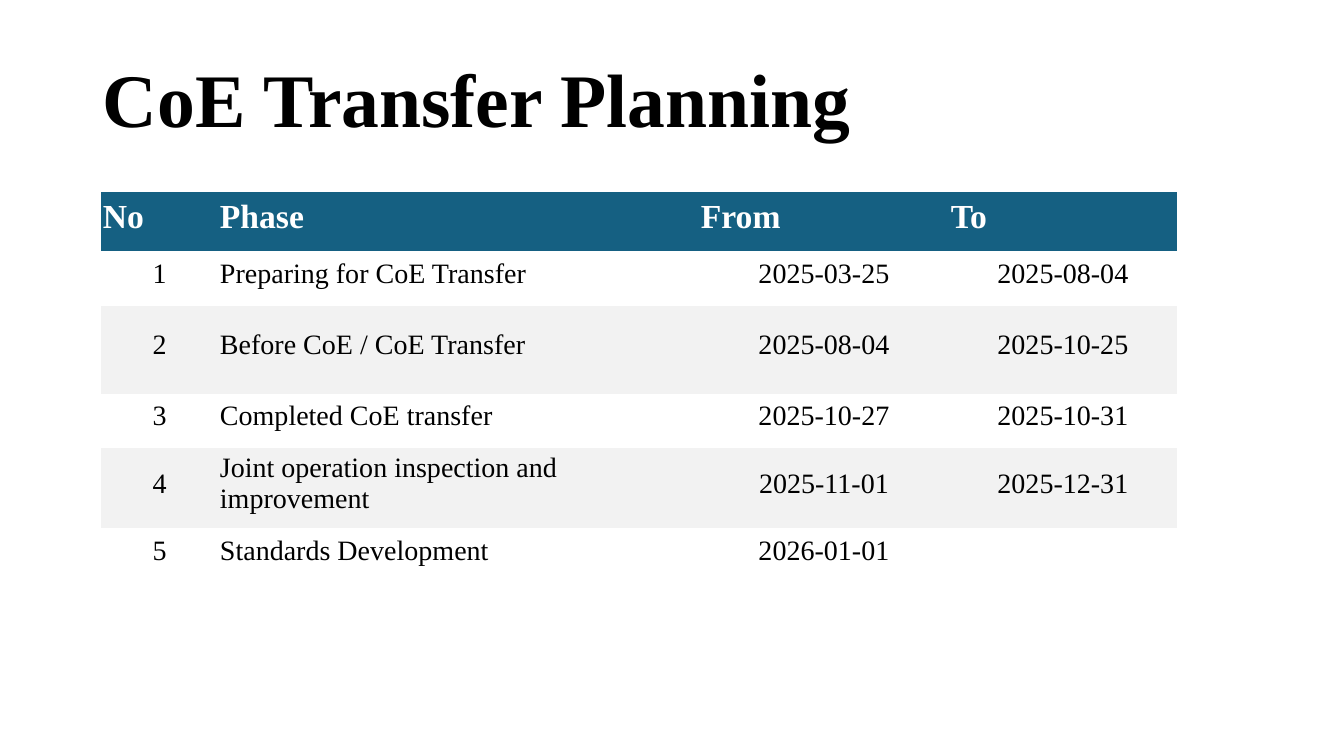
"""Build the CoE Transfer Planning slide."""
import pptx
import pptx.dml.color
import pptx.enum.text
import pptx.util

TITLE = "CoE Transfer Planning"
HEADER = ("No", "Phase", "From", "To")
PHASES = [
    ("1", "Preparing for CoE Transfer", "2025-03-25", "2025-08-04"),
    ("2", "Before CoE / CoE Transfer", "2025-08-04", "2025-10-25"),
    ("3", "Completed CoE transfer", "2025-10-27", "2025-10-31"),
    ("4", "Joint operation inspection and improvement", "2025-11-01", "2025-12-31"),
    ("5", "Standards Development", "2026-01-01", ""),
]
COLORS = {"header": "156082", "band": "F2F2F2", "text": "000000", "header_text": "FFFFFF"}
FONT = "Times New Roman"
PLAIN_TABLE_STYLE = "{2D5ABB26-0587-4C30-8999-92F81FD0307C}"

SLIDE_SIZE = (1344, 756)
TITLE_AREA = (93, 20, 1159, 166)
TABLE_CORNER = (101, 192)
COLUMN_WIDTHS = (117, 481, 250, 228)
ROW_HEIGHTS = (59, 55, 88, 54, 62, 54)
PHASE_COLUMN = 1

ALIGN = pptx.enum.text.PP_ALIGN
MIDDLE = pptx.enum.text.MSO_ANCHOR.MIDDLE


def px(length):
    """Turn px into EMU."""
    return pptx.util.Emu(round(length * 914400 / 100.8))


def color(name):
    """Look up a colour by its role."""
    return pptx.dml.color.RGBColor.from_string(COLORS[name])


def add_span(para, text, size, color_name, bold):
    """Add one styled run to a paragraph."""
    span = para.add_run()
    span.text = text
    span.font.name = FONT
    span.font.size = pptx.util.Pt(size)
    span.font.bold = bold
    span.font.color.rgb = color(color_name)


def add_title(page):
    """Place the slide title."""
    frame = page.shapes.add_textbox(*map(px, TITLE_AREA)).text_frame
    frame.word_wrap = True
    frame.vertical_anchor = MIDDLE
    para = frame.paragraphs[0]
    para.line_spacing = 0.9
    add_span(para, TITLE, 54, "text", True)


def fill_cell(cell, text, row, column):
    """Style one table cell and write its text."""
    is_header = row == 0
    cell.margin_left = cell.margin_right = cell.margin_top = px(2)
    cell.margin_bottom = px(11)
    cell.vertical_anchor = MIDDLE
    if is_header or row % 2 == 0:
        cell.fill.solid()
        cell.fill.fore_color.rgb = color("header" if is_header else "band")
    else:
        cell.fill.background()
    para = cell.text_frame.paragraphs[0]
    para.alignment = ALIGN.LEFT if is_header or column == PHASE_COLUMN else ALIGN.CENTER
    if text:
        add_span(para, text, 24 if is_header else 20,
                 "header_text" if is_header else "text", is_header)


def add_schedule(page):
    """Place the table of phases and dates."""
    rows = [HEADER, *PHASES]
    area = (*TABLE_CORNER, sum(COLUMN_WIDTHS), sum(ROW_HEIGHTS))
    table = page.shapes.add_table(len(rows), len(HEADER), *map(px, area)).table
    table.horz_banding = False
    table._tbl.tblPr.find(pptx.oxml.ns.qn("a:tableStyleId")).text = PLAIN_TABLE_STYLE
    for column, width in zip(table.columns, COLUMN_WIDTHS):
        column.width = px(width)
    for row, height in zip(table.rows, ROW_HEIGHTS):
        row.height = px(height)
    for row, texts in enumerate(rows):
        for column, text in enumerate(texts):
            fill_cell(table.cell(row, column), text, row, column)


def main():
    """Create the deck and save it."""
    deck = pptx.Presentation()
    deck.slide_width, deck.slide_height = map(px, SLIDE_SIZE)
    page = deck.slides.add_slide(deck.slide_layouts[6])
    add_title(page)
    add_schedule(page)
    deck.save("out.pptx")


if __name__ == "__main__":
    main()
